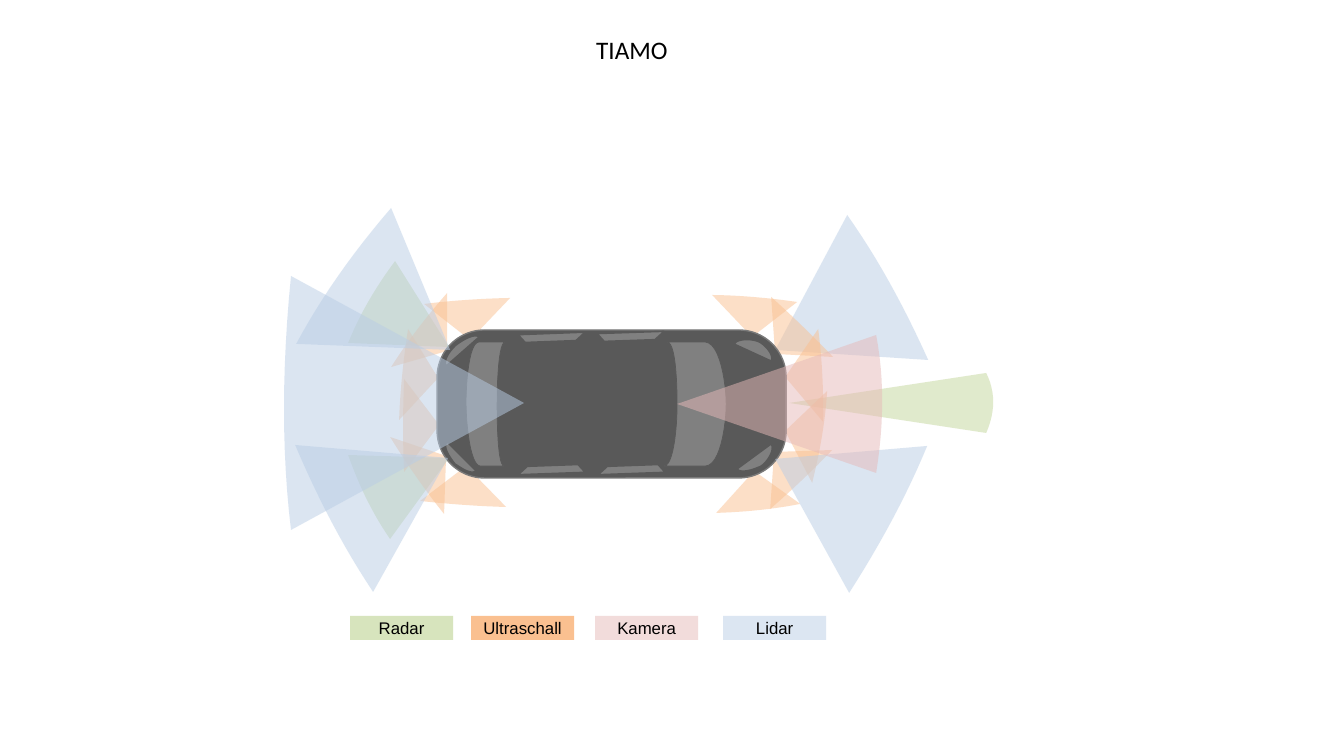
"""Build a slide showing the sensor fields around a car, with a legend."""
from math import comb

from lxml.etree import SubElement
from pptx import Presentation
from pptx.dml.color import RGBColor
from pptx.enum.shapes import MSO_SHAPE
from pptx.enum.text import MSO_ANCHOR, MSO_AUTO_SIZE, PP_ALIGN
from pptx.oxml.ns import qn
from pptx.util import Inches, Pt

EMU_PER_PIXEL = 914400 / 100.8
CURVE_STEPS = 12

COLORS = {
    "text": "000000", "body": "595959", "body_line": "7A7A7A", "glass": "808080",
    "radar": "C3D69B", "ultrasonic": "FAC090", "camera": "E6B9B8", "lidar": "B9CDE5",
    "radar_key": "D7E4BD", "ultrasonic_key": "FAC090",
    "camera_key": "F2DCDB", "lidar_key": "DCE6F2",
}

TITLE = ("TIAMO", (586, 29, 93, 40))
LEGEND = [
    ("Radar", "radar_key", 350),
    ("Ultraschall", "ultrasonic_key", 471),
    ("Kamera", "camera_key", 595),
    ("Lidar", "lidar_key", 723),
]
LEGEND_TOP, LEGEND_WIDTH, LEGEND_HEIGHT = 616, 103, 24

# Each field: sensor position, first corner, middle of the arc, second corner.
FIELDS_BEHIND_CAR = [
    ("lidar", [((775, 350), (847, 215), (889, 282), (928, 360))]),
    ("radar", [
        ((789, 403), (986, 373), (993, 402), (986, 433)),
        ((449, 347), (348, 343), (368, 302), (395, 261)),
        ((449, 458), (390, 539), (367, 500), (348, 455)),
    ]),
    ("ultrasonic", [
        ((470, 340), (424, 304), (466, 300), (510, 298)),
        ((447, 351), (391, 367), (416, 331), (447, 293)),
        ((438, 378), (399, 420), (402, 376), (408, 329)),
        ((439, 425), (404, 472), (403, 427), (404, 379)),
        ((446, 456), (444, 514), (417, 478), (390, 437)),
        ((466, 466), (506, 507), (465, 505), (420, 501)),
        ((752, 337), (712, 295), (753, 297), (797, 302)),
        ((775, 354), (771, 297), (801, 325), (833, 357)),
        ((785, 377), (818, 329), (822, 373), (823, 422)),
        ((785, 431), (827, 391), (822, 435), (812, 483)),
        ((774, 452), (832, 450), (803, 479), (770, 509)),
        ((754, 471), (800, 504), (760, 510), (716, 513)),
    ]),
]
FIELDS_OVER_CAR = [
    ("lidar", [
        ((775, 459), (927, 446), (893, 518), (849, 593)),
        ((448, 458), (373, 592), (332, 523), (295, 445)),
        ((450, 350), (296, 344), (338, 276), (391, 208)),
    ]),
    ("camera", [((677, 404), (876, 335), (882, 401), (876, 473))]),
    ("lidar", [((524, 403), (291, 530), (284, 409), (291, 276))]),
]

CAR_BODY = (437, 330, 349, 148)
WINDSCREENS = [
    [[(705, 342), (720, 343), (726, 384), (726, 404)],
     [(726, 404), (726, 425), (720, 466), (705, 466)],
     [(664, 466), (673, 466), (677, 430), (677, 404)],
     [(677, 404), (677, 378), (675, 342), (667, 342)]],
    [[(480, 466), (470, 465), (466, 423), (466, 403)],
     [(466, 403), (466, 382), (469, 342), (479, 342)],
     [(505, 342), (499, 342), (497, 377), (497, 403)],
     [(497, 403), (497, 429), (498, 466), (504, 466)]],
]
LAMPS = [
    [[(771, 444), (775, 450), (767, 462), (761, 466)],
     [(761, 466), (755, 469), (741, 474), (737, 469)]],
    [[(734, 344), (738, 338), (753, 339), (759, 342)],
     [(759, 342), (765, 345), (774, 355), (771, 361)]],
    [[(446, 366), (443, 360), (450, 351), (455, 346)],
     [(455, 346), (461, 341), (474, 333), (479, 337)]],
    [[(476, 471), (470, 475), (460, 467), (455, 464)],
     [(455, 464), (451, 459), (442, 447), (447, 442)]],
]
SIDE_WINDOWS = [(610, 448, 47.8), (530, 448, 47.8), (609, 307, 227.9), (530, 308, 227.7)]
SIDE_WINDOW_SIZE = (43, 51)


def emu(*pixels):
    return [round(value * EMU_PER_PIXEL) for value in pixels]


def color(name):
    return RGBColor.from_string(COLORS[name])


def curve(controls):
    degree = len(controls) - 1
    points = []
    for step in range(CURVE_STEPS + 1):
        t = step / CURVE_STEPS
        weights = [comb(degree, i) * t**i * (1 - t)**(degree - i) for i in range(degree + 1)]
        points.append(tuple(sum(w * p[axis] for w, p in zip(weights, controls))
                            for axis in (0, 1)))
    return points


def paint(shape, fill, line=None, line_width=1, opacity=None):
    shape.shadow.inherit = False
    shape.fill.solid()
    shape.fill.fore_color.rgb = color(fill)
    if opacity:
        fill_color = shape.fill._xPr.find(qn("a:solidFill"))[0]
        SubElement(fill_color, qn("a:alpha"), val=str(opacity * 1000))
    if line:
        shape.line.color.rgb = color(line)
        shape.line.width = Pt(line_width)
    else:
        shape.line.fill.background()


def add_outline(points, **style):
    corners = [emu(*point) for point in points]
    builder = slide.shapes.build_freeform(*corners[0], scale=1.0)
    builder.add_line_segments(corners[1:], close=True)
    paint(builder.convert_to_shape(), **style)


def add_fields(groups):
    for sensor, fields in groups:
        for apex, first, middle, last in fields:
            control = [2 * m - (a + b) / 2 for a, m, b in zip(first, middle, last)]
            add_outline([apex] + curve([first, control, last]), fill=sensor, opacity=50)


def add_glass(outlines, line_width):
    for curves in outlines:
        points = [point for controls in curves for point in curve(controls)]
        add_outline(points, fill="glass", line="body", line_width=line_width)


def write(shape, text, font, size, align):
    frame = shape.text_frame
    frame.word_wrap = False
    frame.auto_size = MSO_AUTO_SIZE.NONE
    frame.vertical_anchor = MSO_ANCHOR.MIDDLE
    paragraph = frame.paragraphs[0]
    paragraph.alignment = align
    run = paragraph.add_run()
    run.text = text
    run.font.name = font
    run.font.size = Pt(size)
    run.font.color.rgb = color("text")


presentation = Presentation()
presentation.slide_width, presentation.slide_height = Inches(13.33), Inches(7.5)
slide = presentation.slides.add_slide(presentation.slide_layouts[5])

title = slide.shapes.title
title_text, title_box = TITLE
title.left, title.top, title.width, title.height = emu(*title_box)
write(title, title_text, "Calibri", 18, PP_ALIGN.LEFT)

add_fields(FIELDS_BEHIND_CAR)

for label, fill, left in LEGEND:
    key = slide.shapes.add_shape(
        MSO_SHAPE.RECTANGLE, *emu(left, LEGEND_TOP, LEGEND_WIDTH, LEGEND_HEIGHT))
    paint(key, fill)
    write(key, label, "Arial", 12, PP_ALIGN.CENTER)

car = slide.shapes.add_shape(MSO_SHAPE.ROUNDED_RECTANGLE, *emu(*CAR_BODY))
car.adjustments[0] = 0.32
paint(car, "body", "body_line")
add_glass(WINDSCREENS, 0.5)
add_glass(LAMPS, 1)
for left, top, rotation in SIDE_WINDOWS:
    window = slide.shapes.add_shape(
        MSO_SHAPE.DIAGONAL_STRIPE, *emu(left, top, *SIDE_WINDOW_SIZE))
    window.adjustments[0] = 0.76
    window.rotation = rotation
    paint(window, "glass", "body")

add_fields(FIELDS_OVER_CAR)
presentation.save("out.pptx")
